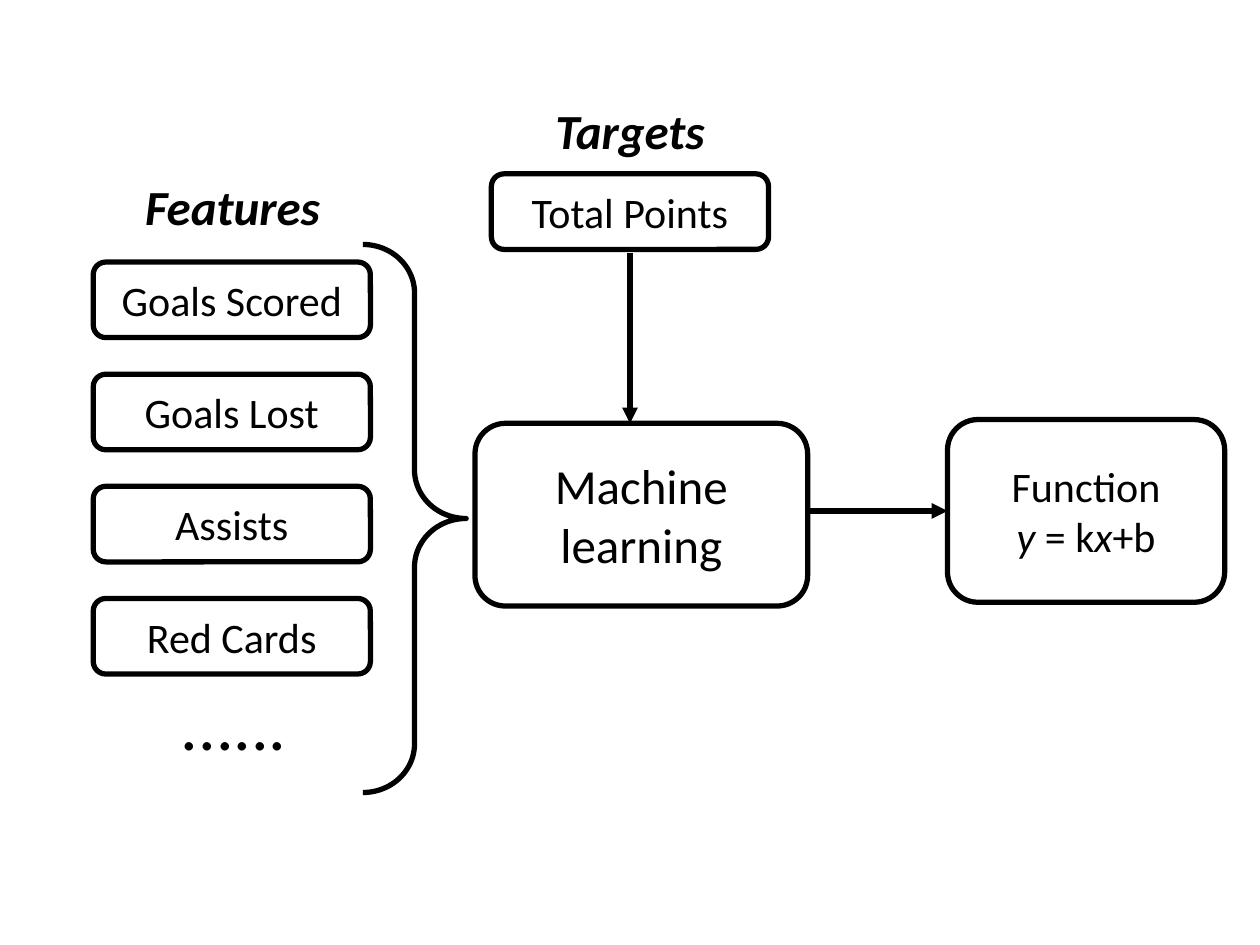
from lxml import etree
from pptx import Presentation
from pptx import util as u
from pptx.dml.color import RGBColor
from pptx.enum import shapes, text
from pptx.oxml.ns import qn

COLORS = {"ink": "000000", "paper": "FFFFFF"}
INK, PAPER = (RGBColor.from_string(COLORS[name]) for name in ("ink", "paper"))
FONT = "Calibri"
STROKE = u.Pt(3)

# Grid in inches: column lefts, box sizes and the spacing of the feature rows
FEATURE_LEFT, LEARNER_LEFT, RESULT_LEFT = 0.74, 3.77, 7.52
SMALL_W, SMALL_H = 2.2, 0.6
LEARNER_W, BIG_H = 2.64, 1.45
FIRST_ROW, ROW_STEP = 2.08, 0.89
LEARNER_TOP, RESULT_TOP = 3.36, 3.33
TARGET_TOP = 1.38
CENTER = 5
FLOW_Y = RESULT_TOP + BIG_H / 2

deck = Presentation()
deck.slide_width, deck.slide_height = u.Inches(10), u.Inches(7.5)
page = deck.slides.add_slide(deck.slide_layouts[6])


def write(shape, lines, size, bold=False, italic=False):
    """Fill a shape with lines, each a list of (words, italic) spans."""
    frame = shape.text_frame
    for number, spans in enumerate(lines):
        para = frame.paragraphs[0] if number == 0 else frame.add_paragraph()
        para.alignment = text.PP_ALIGN.CENTER
        for words, slanted in spans:
            span = para.add_run()
            span.text = words
            span.font.name, span.font.size = FONT, u.Pt(size)
            span.font.bold, span.font.italic = bold, italic or slanted
            span.font.color.rgb = INK


def outline(shape):
    shape.line.color.rgb = INK
    shape.line.width = STROKE


# Boxes: left, top, width, height, text size, lines
features = ["Goals Scored", "Goals Lost", "Assists", "Red Cards"]
boxes = [
    (FEATURE_LEFT, FIRST_ROW + row * ROW_STEP, SMALL_W, SMALL_H, 24, [[(name, False)]])
    for row, name in enumerate(features)
]
boxes += [
    (LEARNER_LEFT, LEARNER_TOP, LEARNER_W, BIG_H, 28, [[("Machine learning", False)]]),
    (RESULT_LEFT, RESULT_TOP, SMALL_W, BIG_H, 24,
     [[("Function", False)],
      [("y", True), (" = k", False), ("x", True), ("+b", False)]]),
    (CENTER - SMALL_W / 2, TARGET_TOP, SMALL_W, SMALL_H, 24, [[("Total Points", False)]]),
]
for left, top, width, height, size, lines in boxes:
    box = page.shapes.add_shape(
        shapes.MSO_SHAPE.ROUNDED_RECTANGLE,
        *map(u.Inches, (left, top, width, height)))
    box.shadow.inherit = False
    box.fill.solid()
    box.fill.fore_color.rgb = PAPER
    outline(box)
    box.text_frame.vertical_anchor = text.MSO_ANCHOR.MIDDLE
    write(box, lines, size)

# Headings and the ellipsis: left, top, width, height, words, size, emphasis
labels = [
    (4.3, 0.75, 1.4, 0.57, "Targets", 28, True),
    (1.04, 1.35, 1.61, 0.57, "Features", 28, True),
    (1.33, 5.35, 1.05, 0.77, "......", 40, False),
]
for left, top, width, height, words, size, strong in labels:
    label = page.shapes.add_textbox(*map(u.Inches, (left, top, width, height)))
    label.text_frame.word_wrap = False
    label.text_frame.auto_size = text.MSO_AUTO_SIZE.SHAPE_TO_FIT_TEXT
    write(label, [[(words, False)]], size, bold=strong, italic=strong)

# Arrows into the learner and on to the function
arrows = [
    (CENTER, 2.01, CENTER, LEARNER_TOP),
    (LEARNER_LEFT + LEARNER_W, FLOW_Y, RESULT_LEFT, FLOW_Y),
]
for ends in arrows:
    arrow = page.shapes.add_connector(
        shapes.MSO_CONNECTOR.STRAIGHT, *map(u.Inches, ends))
    outline(arrow)
    etree.SubElement(arrow.line._get_or_add_ln(), qn("a:tailEnd"), type="triangle")
    etree.SubElement(arrow._element.spPr, qn("a:effectLst"))

# Brace gathering the features
brace = page.shapes.add_shape(
    shapes.MSO_SHAPE.RIGHT_BRACE, *map(u.Inches, (2.88, 1.94, 0.82, 4.35)))
brace.adjustments[0], brace.adjustments[1] = 0.47, 0.5
brace.shadow.inherit = False
brace.fill.background()
outline(brace)

deck.save("out.pptx")
